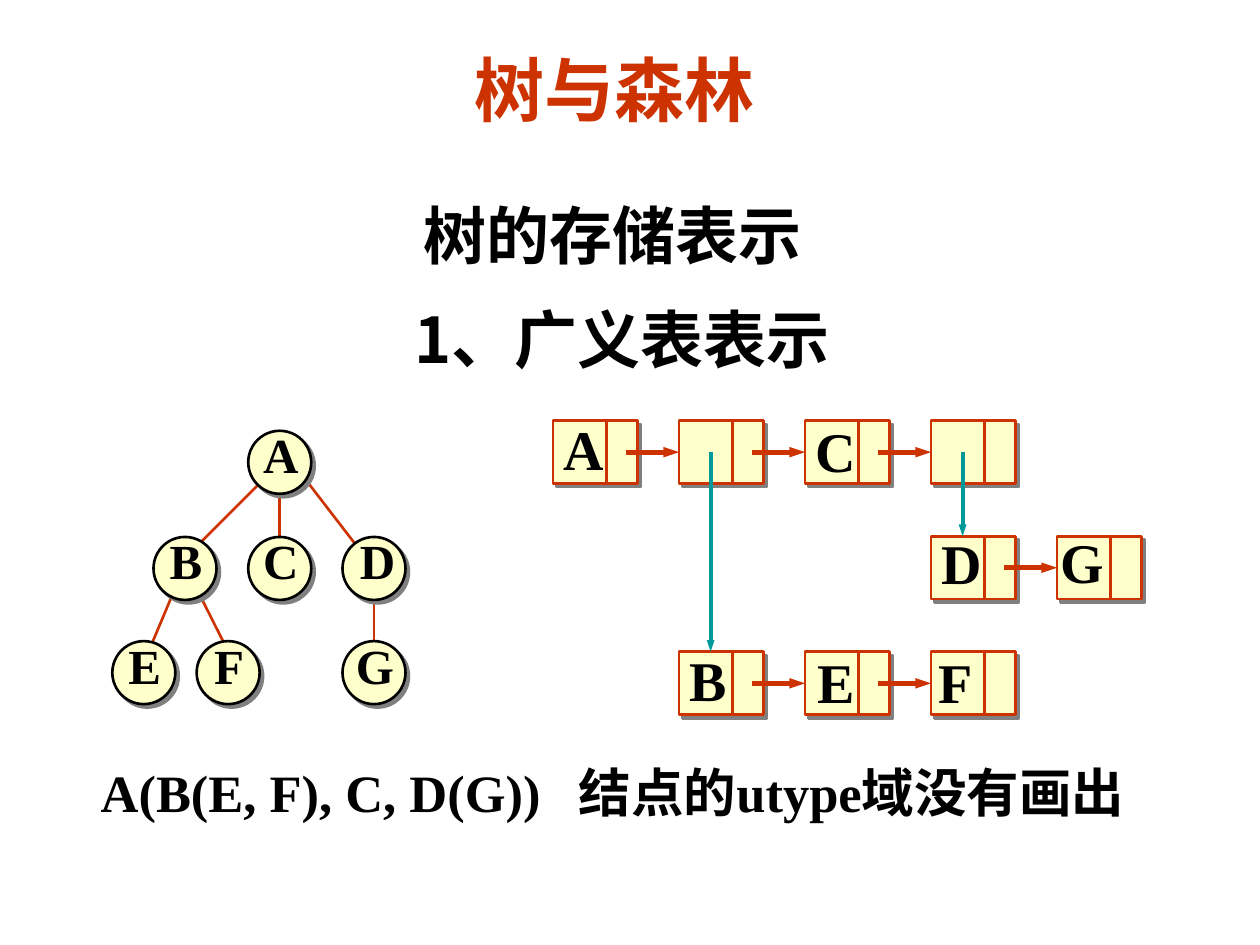
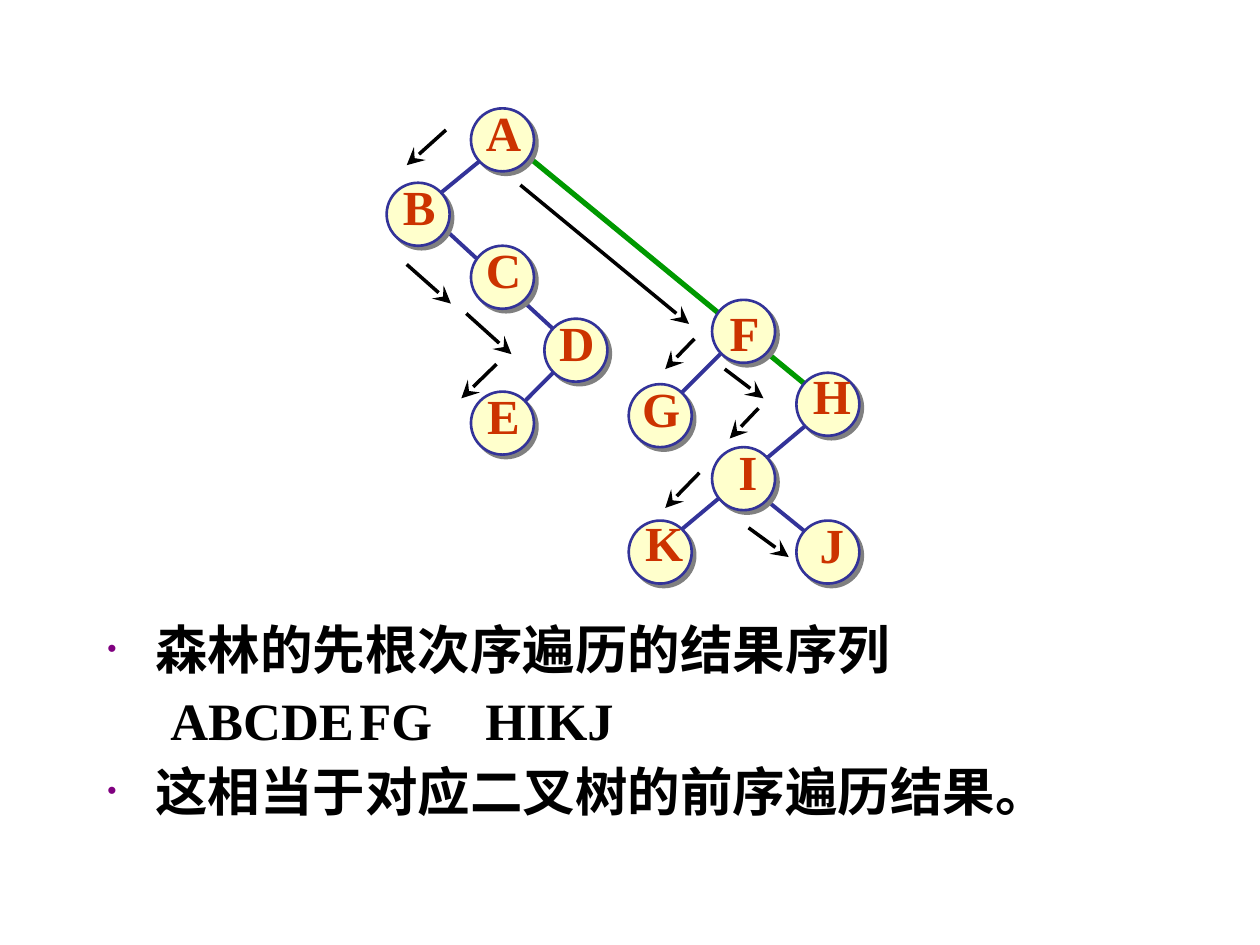
from lxml.etree import SubElement as Sub
from pptx import Presentation
from pptx.dml.color import RGBColor as Rgb
from pptx.enum.shapes import MSO_CONNECTOR as Conn, MSO_SHAPE as Kind
from pptx.enum.text import MSO_ANCHOR as Anchor, MSO_AUTO_SIZE as Fit, PP_ALIGN as Align
from pptx.oxml.ns import qn
from pptx.util import Cm, Pt

HUES = {"ink": "000000", "red": "CC3300", "cream": "FFFFCC", "teal": "009999",
        "blue": "333399", "green": "009900", "purple": "800080", "shade": "808080"}
SERIF, SANS, CJK = "Times New Roman", "Arial", "Noto Sans CJK JP"
TITLE_ONLY, CONTENT = 5, 1
SIDE = 1.27  # diameter of a tree node, height of a list cell
CELL_W, SPLIT, LINK = 1.7, 1.07, 1.47  # cell width, divider and link start
LIST_X, LIST_Y, STEP_X, STEP_Y = 11.15, 8.48, 2.54, 2.33


def hue(name):
    return Rgb.from_string(HUES[name])


class Deck:
    def __init__(self):
        self.prs = Presentation()
        self.prs.slide_width, self.prs.slide_height = Cm(25.4), Cm(19.05)
        self.slide = None

    def start(self, layout):
        self.slide = self.prs.slides.add_slide(self.prs.slide_layouts[layout])

    def place(self, shape, x, y, w, h):
        shape.left, shape.top, shape.width, shape.height = Cm(x), Cm(y), Cm(w), Cm(h)

    def style(self, para, size, color="ink", face=SERIF, align=Align.CENTER):
        para.alignment = align
        font = para.font
        font.size, font.bold, font.name = Pt(size), True, face
        font.color.rgb = hue(color)
        Sub(para._p.pPr.find(qn("a:defRPr")), qn("a:ea"), typeface=CJK)

    def tabs(self, para, *stops):
        tabs = Sub(para._p.get_or_add_pPr(), qn("a:tabLst"))
        for stop in stops:
            Sub(tabs, qn("a:tab"), pos=str(Cm(stop)), algn="l")

    def title(self, text, x, y, w, h):
        shape = self.slide.shapes.title
        self.place(shape, x, y, w, h)
        frame = shape.text_frame
        frame.text, frame.vertical_anchor = text, Anchor.MIDDLE
        self.style(frame.paragraphs[0], 40, "red", SANS)

    def text(self, text, x, y, w, h, size, color="ink", face=SERIF,
             align=Align.CENTER, stops=()):
        frame = self.slide.shapes.add_textbox(Cm(x), Cm(y), Cm(w), Cm(h)).text_frame
        frame.word_wrap, frame.vertical_anchor = True, Anchor.MIDDLE
        frame.margin_left = frame.margin_right = 0
        frame.margin_top = frame.margin_bottom = 0
        para = frame.paragraphs[0]
        para.text = text
        if stops:
            self.tabs(para, *stops)
        self.style(para, size, color, face, align)

    def body(self, items, x, y, w, h):
        """Fill the body with (text, tab stops) pairs; those without stops get a bullet."""
        title = self.slide.shapes.title._element
        title.getparent().remove(title)
        shape = self.slide.placeholders[1]
        self.place(shape, x, y, w, h)
        frame = shape.text_frame
        frame.auto_size, frame.vertical_anchor = Fit.NONE, Anchor.TOP
        for i, (text, stops) in enumerate(items):
            para = frame.add_paragraph() if i else frame.paragraphs[0]
            para.text = text
            para.space_before = Pt(4.5 if i else 0)
            props = para._p.get_or_add_pPr()
            indent = 0 if stops else Cm(0.97)
            props.set("marL", str(indent))
            props.set("indent", str(-indent))
            if stops:
                Sub(props, qn("a:buNone"))
                self.tabs(para, *stops)
            else:
                Sub(Sub(props, qn("a:buClr")), qn("a:srgbClr"), val=HUES["purple"])
                Sub(props, qn("a:buSzPct"), val="50000")
                Sub(props, qn("a:buChar"), char="•")
            self.style(para, 30, align=Align.LEFT)

    def shape(self, kind, x, y, w, h, edge):
        """Add a cream shape with a hard grey shadow to the lower right."""
        shape = self.slide.shapes.add_shape(kind, Cm(x), Cm(y), Cm(w), Cm(h))
        shape.fill.solid()
        shape.fill.fore_color.rgb = hue("cream")
        shape.line.color.rgb, shape.line.width = hue(edge), Pt(1.5)
        shape.shadow.inherit = False
        effects = shape._element.spPr.find(qn("a:effectLst"))
        shadow = Sub(effects, qn("a:outerShdw"), dist=str(Pt(2.8)), dir="2700000",
                     algn="ctr", rotWithShape="0")
        Sub(shadow, qn("a:srgbClr"), val=HUES["shade"])
        return shape

    def line(self, ends, color, width, head=None, wide="sm", long="med"):
        line = self.slide.shapes.add_connector(Conn.STRAIGHT, *map(Cm, ends))
        line.line.color.rgb, line.line.width = hue(color), Pt(width)
        if head:
            Sub(line.line._get_or_add_ln(), qn("a:tailEnd"), type=head, w=wide, len=long)
        Sub(line._element.spPr, qn("a:effectLst"))
        return line

    def tree(self, nodes, edge, ink):
        """Draw nodes given as letter, centre x, centre y and an optional label shift."""
        half = SIDE / 2
        for _, x, y, *_ in nodes:
            self.shape(Kind.OVAL, x - half, y - half, SIDE, SIDE, edge)
        for letter, x, y, *shift in nodes:
            dx, dy = shift or (0, 0)
            self.text(letter, x - half + 0.02 + dx, y - 0.89 + dy, SIDE, 1.45, 28, ink)

    def chains(self, cells, links, drops):
        """Draw list cells keyed by (column, row), links to the right and drops down."""
        spot = {key: (LIST_X + key[0] * STEP_X, LIST_Y + key[1] * STEP_Y) for key in cells}
        boxes = {}
        for key, (x, y) in spot.items():
            boxes[key] = self.shape(Kind.RECTANGLE, x, y, CELL_W, SIDE, "red")
            self.line((x + SPLIT, y, x + SPLIT, y + SIDE), "red", 1.5)
        for col, row in links:
            x, y = spot[col, row]
            mid = y + SIDE / 2
            arrow = self.line((x + LINK, mid, x + STEP_X, mid), "red", 3, "triangle")
            arrow.end_connect(boxes[col + 1, row], 1)
        for start, end in drops:
            x, y = spot[start]
            x += SIDE / 2
            self.line((x, y + SIDE / 2, x, spot[end][1]), "teal", 2.25, "triangle")
        for key, (letter, dx, dy) in cells.items():
            x, y = spot[key]
            if letter:
                self.text(letter, x - 0.05 + dx, y - 0.25 + dy, 1.32, 1.6, 32)


def storage(deck):
    deck.start(TITLE_ONLY)
    deck.title("树与森林", 7.39, 0.81, 10.01, 1.93)
    deck.text("树的存储表示", 4.09, 3.84, 16.51, 1.78, 36, face=CJK)
    deck.text("1、广义表表示", 4.29, 5.94, 16.51, 1.78, 36, face=CJK)
    for ends in [(7.54, 11.86, 7.54, 13.36), (6.07, 9.55, 7.54, 11.46),
                 (3.96, 11.86, 4.6, 13.13), (3.53, 11.86, 2.9, 13.36),
                 (5.23, 9.75, 3.96, 11.02), (5.64, 9.75, 5.64, 11.02)]:
        deck.line(ends, "red", 1.5)
    top, mid, low = 9.32, 11.46, 13.56
    deck.tree([("A", 5.64, top), ("B", 3.73, mid), ("C", 5.64, mid),
               ("D", 7.54, mid, 0.05, 0), ("E", 2.9, low), ("F", 4.6, low),
               ("G", 7.54, low)], "ink", "ink")
    deck.chains({(0, 0): ("A", 0, 0), (1, 0): ("", 0, 0), (2, 0): ("C", 0, 0.05),
                 (3, 0): ("", 0, 0), (3, 1): ("D", 0, -0.03), (4, 1): ("G", -0.11, -0.05),
                 (1, 2): ("B", -0.02, 0), (2, 2): ("E", 0.02, 0.05),
                 (3, 2): ("F", -0.11, 0.05)},
                [(0, 0), (1, 0), (2, 0), (3, 1), (1, 2), (2, 2)],
                [((1, 0), (1, 2)), ((3, 0), (3, 1))])
    deck.text("A(B(E, F), C, D(G))\t结点的utype域没有画出", 2.03, 15.19, 21.7, 1.52, 30,
              align=Align.LEFT, stops=[9.64])


def walk(deck):
    deck.start(CONTENT)
    deck.body([("森林的先根次序遍历的结果序列", ()),
               ("\tABCDE\tFG\tHIKJ", (3.48, 7.72, 9.7)),
               ("这相当于对应二叉树的前序遍历结果。", ())], 1.91, 12.32, 22.86, 5.11)
    deck.line((10.54, 3.07, 16.48, 7.95), "green", 3)
    for ends in [(11.4, 7.26, 10.34, 8.33), (8.64, 4.32, 11.4, 6.86),
                 (9.91, 3.05, 8.64, 4.09), (15.42, 10.06, 16.48, 10.92),
                 (16.48, 8.38, 13.72, 10.69), (14.78, 6.88, 13.51, 8.15)]:
        deck.line(ends, "blue", 2.25)
    deck.tree([("A", 10.13, 2.82), ("B", 8.43, 4.32), ("C", 10.13, 5.59),
               ("D", 11.61, 7.06), ("E", 10.13, 8.53), ("F", 14.99, 6.68, 0, 0.17),
               ("G", 13.31, 8.38), ("H", 16.69, 8.15, 0.06, -0.03),
               ("I", 14.99, 9.65, 0.07, 0), ("J", 16.69, 11.13, 0.06, 0),
               ("K", 13.31, 11.13, 0.06, -0.03)], "blue", "red")
    for ends in [(8.99, 2.62, 8.2, 3.33), (8.2, 5.33, 9.09, 6.12),
                 (9.4, 6.32, 10.31, 7.14), (10.01, 7.34, 9.3, 8.03),
                 (10.49, 3.73, 13.89, 6.53), (14, 6.83, 13.41, 7.44),
                 (14.61, 7.44, 15.39, 8.03), (15.29, 8.23, 14.71, 8.84),
                 (14.1, 9.53, 13.41, 10.24), (15.09, 10.64, 15.9, 11.23)]:
        deck.line(ends, "ink", 2, "stealth", "lg", "lg")


def main():
    deck = Deck()
    storage(deck)
    walk(deck)
    deck.prs.save("out.pptx")


if __name__ == "__main__":
    main()
